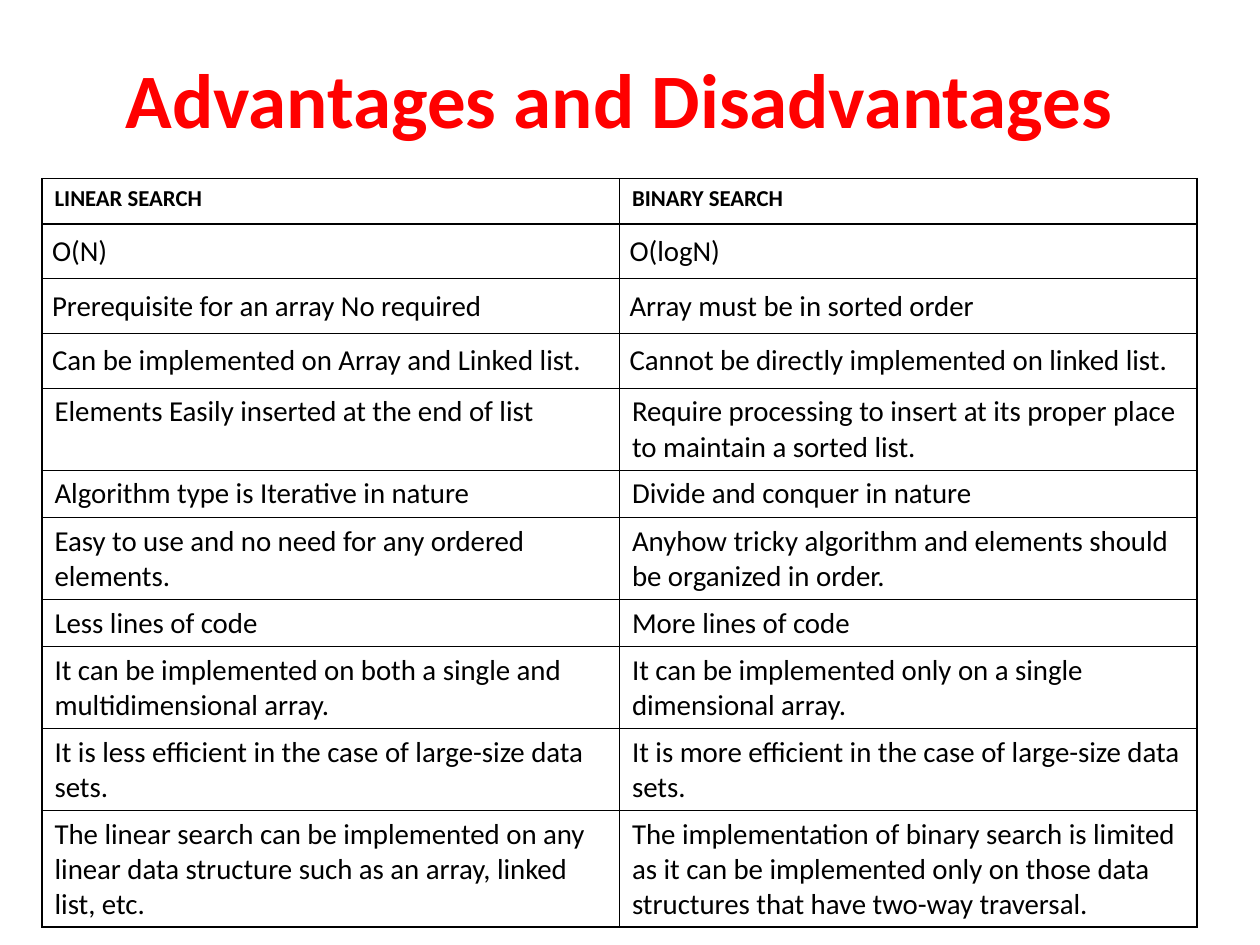
from dataclasses import dataclass

import pptx
import pptx.dml.color
import pptx.enum.text
import pptx.oxml
import pptx.oxml.ns
import pptx.util
from lxml import etree

RED = pptx.dml.color.RGBColor(0xFF, 0x00, 0x00)
BLACK = pptx.dml.color.RGBColor(0x00, 0x00, 0x00)
WHITE = pptx.dml.color.RGBColor(0xFF, 0xFF, 0xFF)
FONT = "Calibri"
SLIDE_WIDTH = pptx.util.Inches(10)
SLIDE_HEIGHT = pptx.util.Inches(7.5)
LEFT = int(SLIDE_WIDTH / 30)
CONTENT_WIDTH = int(SLIDE_WIDTH * 11 / 12)
TITLE_TOP = int(SLIDE_HEIGHT * 0.04)
TITLE_HEIGHT = int(SLIDE_HEIGHT * 0.127)
TABLE_TOP = int(SLIDE_HEIGHT * 0.189)
TABLE_HEIGHT = int(SLIDE_HEIGHT * 0.795)


@dataclass(frozen=True)
class Comparison:
    linear: str
    binary: str
    height: float
    inset: float | None = None
    size: float = 16.5
    bold: bool = False


COMPARISONS = [
    Comparison("LINEAR SEARCH", "BINARY SEARCH", 0.36, size=13, bold=True),
    Comparison("O(N)", "O(logN)", 0.42, 0.08),
    Comparison("Prerequisite for an array No required",
               "Array must be in sorted order", 0.42, 0.08),
    Comparison("Can be implemented on Array and Linked list.",
               "Cannot be directly implemented on linked list.", 0.29, 0.08),
    Comparison("Elements Easily inserted at the end of list",
               "Require processing to insert at its proper place to maintain a sorted list.", 0.58),
    Comparison("Algorithm type is Iterative in nature", "Divide and conquer in nature", 0.36),
    Comparison("Easy to use and no need for any ordered elements.",
               "Anyhow tricky algorithm and elements should be organized in order.", 0.55),
    Comparison("Less lines of code", "More lines of code", 0.36),
    Comparison("It can be implemented on both a single and multidimensional array.",
               "It can be implemented only on a single dimensional array.", 0.47),
    Comparison("It is less efficient in the case of large-size data sets.",
               "It is more efficient in the case of large-size data sets.", 0.63),
    Comparison("The linear search can be implemented on any linear data structure "
               "such as an array, linked list, etc.",
               "The implementation of binary search is limited as it can be implemented "
               "only on those data structures that have two-way traversal.", 0.89),
]


def write_text(frame, text: str, *, size: float, color=BLACK, bold: bool = False,
               align=pptx.enum.text.PP_ALIGN.LEFT) -> None:
    frame.word_wrap = True
    paragraph = frame.paragraphs[0]
    paragraph.alignment = align
    run = paragraph.add_run()
    run.text = text
    run.font.name = FONT
    run.font.size = pptx.util.Pt(size)
    run.font.bold = bold
    run.font.color.rgb = color


def add_borders(cell, color=BLACK, width: float = 1) -> None:
    properties = cell._tc.get_or_add_tcPr()
    qn = pptx.oxml.ns.qn
    for position, side in enumerate(("a:lnL", "a:lnR", "a:lnT", "a:lnB")):
        line = etree.Element(qn(side), w=str(pptx.util.Pt(width)))
        fill = etree.SubElement(line, qn("a:solidFill"))
        etree.SubElement(fill, qn("a:srgbClr"), val=str(color))
        properties.insert(position, line)


def fill_cell(cell, text: str, comparison: Comparison) -> None:
    if comparison.inset is not None:
        inset = pptx.util.Inches(comparison.inset)
        cell.margin_left = cell.margin_right = inset
        cell.margin_top = cell.margin_bottom = inset
    cell.fill.solid()
    cell.fill.fore_color.rgb = WHITE
    add_borders(cell)
    write_text(cell.text_frame, text, size=comparison.size, bold=comparison.bold)


def add_title(slide, text: str) -> None:
    title = slide.shapes.add_textbox(LEFT, TITLE_TOP, CONTENT_WIDTH, TITLE_HEIGHT)
    title.text_frame.vertical_anchor = pptx.enum.text.MSO_ANCHOR.MIDDLE
    write_text(title.text_frame, text, size=44, color=RED, bold=True,
               align=pptx.enum.text.PP_ALIGN.CENTER)


def add_comparison_table(slide, comparisons: list[Comparison]) -> None:
    frame = slide.shapes.add_table(len(comparisons), 2, LEFT, TABLE_TOP,
                                   CONTENT_WIDTH, TABLE_HEIGHT)
    for row, comparison in zip(frame.table.rows, comparisons):
        row.height = pptx.util.Inches(comparison.height)
        for cell, text in zip(row.cells, (comparison.linear, comparison.binary)):
            fill_cell(cell, text, comparison)
    frame.height = TABLE_HEIGHT


def main() -> None:
    presentation = pptx.Presentation()
    presentation.slide_width = SLIDE_WIDTH
    presentation.slide_height = SLIDE_HEIGHT
    slide = presentation.slides.add_slide(presentation.slide_layouts[6])
    add_title(slide, "Advantages and Disadvantages")
    add_comparison_table(slide, COMPARISONS)
    presentation.save("out.pptx")


if __name__ == "__main__":
    main()
